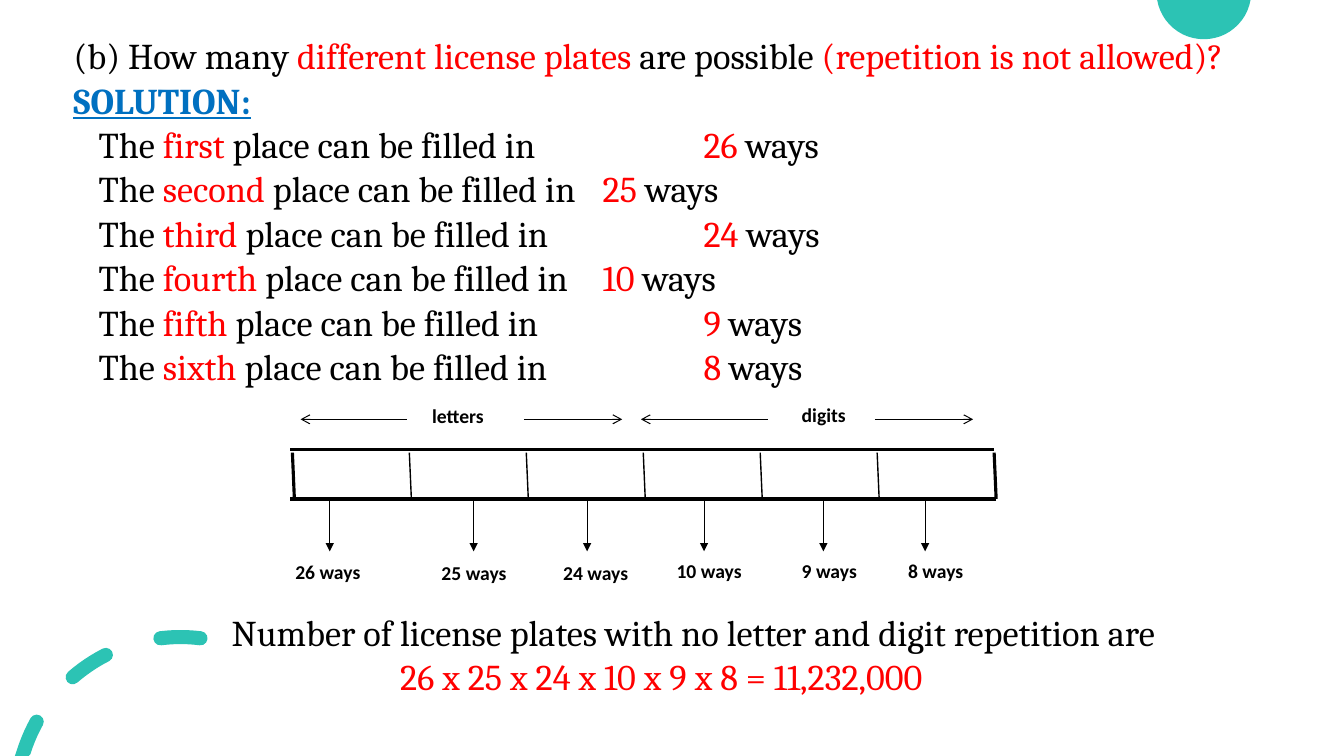
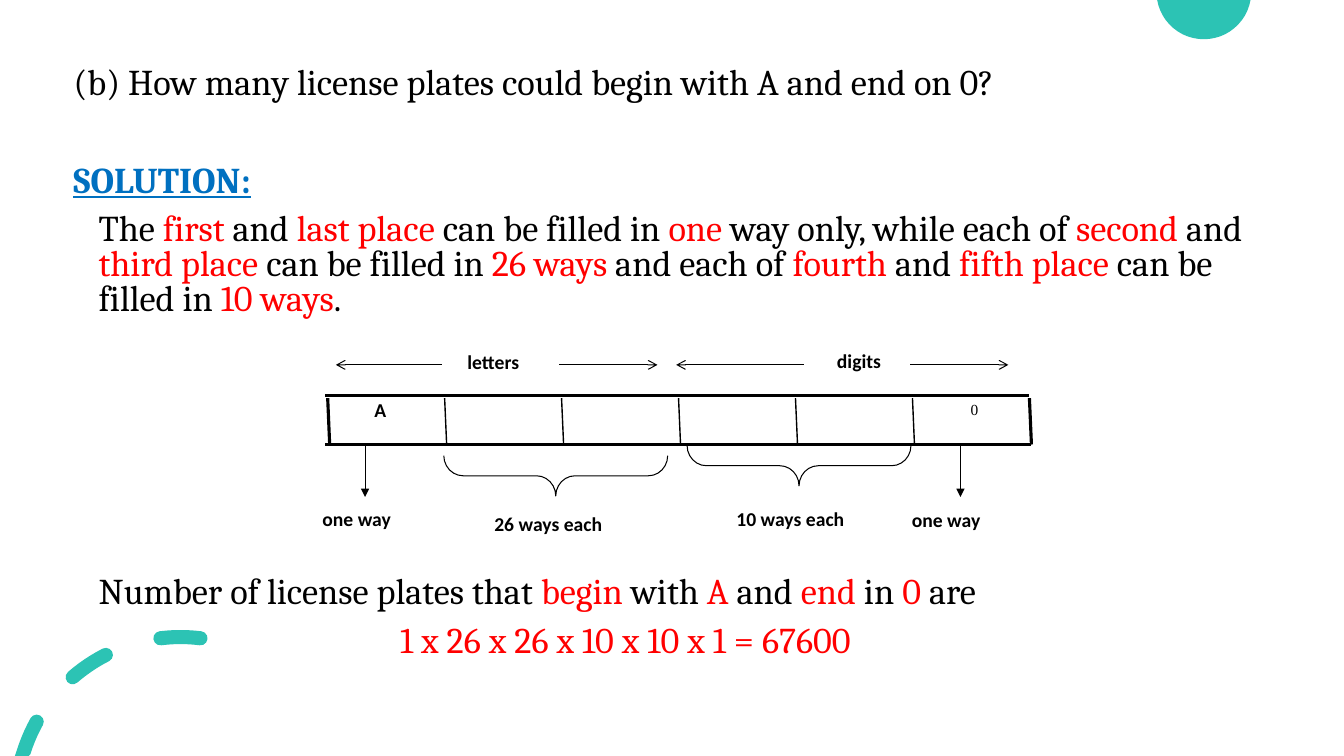
from dataclasses import dataclass
from math import cos, radians, sin

from lxml import etree
from pptx import Presentation
from pptx import util as u
from pptx.dml.color import RGBColor
from pptx.enum import shapes, text
from pptx.oxml.ns import qn

WIDE, HIGH = 13.33, 7.5
LEFT, SPAN, STEP = 0.63, 11.89, 0.25
BLACK, RED, BLUE, TEAL = "000000", "FF0000", "0070C0", "2CC3B4"
SERIF, SANS = "Cambria", "Calibri"
BODY, SMALL = 25.9, 14
COLS, COL, ROW = 6, 1.16, 0.5
LEAN = 0.02


@dataclass
class Para:
    """A paragraph; the parts between asterisks are red."""
    words: str
    dent: float = 0
    tab: float = 0
    head: bool = False


@dataclass
class Grid:
    """The strip of six places, measured in columns and rows from its corner."""
    slide: object
    left: float
    top: float

    def x(self, col: float) -> float:
        return self.left + col * COL

    def y(self, row: float) -> float:
        return self.top + row * ROW


@dataclass
class Tag:
    words: str
    col: float
    row: float
    mid: bool = False
    font: str = SANS
    size: float = SMALL
    bold: bool = True


@dataclass
class Rule:
    """A straight line in grid units, with an arrowhead at its start or end."""
    col: float
    row: float
    to_col: float
    to_row: float
    width: float = 0.75
    head: str = ""
    tail: str = ""


def tint(code: str) -> RGBColor:
    return RGBColor.from_string(code)


def style(run, font: str, size: float, code: str, bold: bool = False) -> None:
    run.font.name, run.font.size = font, u.Pt(size)
    run.font.bold, run.font.color.rgb = bold, tint(code)


def fill(frame, paras: list[Para], pitch: float) -> None:
    """Write paragraphs in the body style, with the given line spacing."""
    frame.word_wrap = True
    frame.auto_size = text.MSO_AUTO_SIZE.NONE
    frame.vertical_anchor = text.MSO_ANCHOR.TOP
    for n, para in enumerate(paras):
        line = frame.add_paragraph() if n else frame.paragraphs[0]
        line.alignment = text.PP_ALIGN.LEFT
        line.line_spacing = pitch
        line.space_before = u.Pt(10 if n else 0)
        props = line._p.get_or_add_pPr()
        if para.dent:
            props.set("marL", str(u.Inches(para.dent)))
        if para.tab:
            tabs = etree.SubElement(props, qn("a:tabLst"))
            etree.SubElement(tabs, qn("a:tab"), pos=str(u.Inches(para.tab)), algn="l")
        for k, part in enumerate(para.words.split("*")):
            if part:
                run = line.add_run()
                run.text = part
                code = BLUE if para.head else RED if k % 2 else BLACK
                style(run, SERIF, BODY, code, para.head)
                run.font.underline = para.head


def block(slide, dent: float, top: float, high: float,
          paras: list[Para], pitch: float) -> None:
    box = slide.shapes.add_textbox(u.Inches(LEFT + dent), u.Inches(top),
                                   u.Inches(SPAN - dent), u.Inches(high))
    fill(box.text_frame, paras, pitch)


def title(slide, words: str, top: float, pitch: float) -> None:
    shape = slide.shapes.title
    shape.left, shape.top = u.Inches(LEFT), u.Inches(top)
    shape.width, shape.height = u.Inches(SPAN), u.Inches(0.45)
    fill(shape.text_frame, [Para(words)], pitch)


def draw(grid: Grid, rule: Rule, lean: float = 0) -> None:
    line = grid.slide.shapes.add_connector(
        shapes.MSO_CONNECTOR.STRAIGHT,
        u.Inches(grid.x(rule.col)), u.Inches(grid.y(rule.row)),
        u.Inches(grid.x(rule.to_col) + lean), u.Inches(grid.y(rule.to_row)))
    line.line.color.rgb, line.line.width = tint(BLACK), u.Pt(rule.width)
    edge = line.line._get_or_add_ln()
    for end, kind in (("a:headEnd", rule.head), ("a:tailEnd", rule.tail)):
        if kind:
            etree.SubElement(edge, qn(end), type=kind)
    etree.SubElement(line.element.spPr, qn("a:effectLst"))


def label(grid: Grid, tag: Tag) -> None:
    box = grid.slide.shapes.add_textbox(
        u.Inches(grid.x(tag.col)), u.Inches(grid.y(tag.row)),
        u.Inches(COL if len(tag.words) < 9 else 1.6), u.Inches(0.4))
    frame = box.text_frame
    frame.word_wrap = True
    frame.text = tag.words
    line = frame.paragraphs[0]
    line.alignment = text.PP_ALIGN.CENTER if tag.mid else text.PP_ALIGN.LEFT
    style(line.runs[0], tag.font, tag.size, BLACK, tag.bold)


def brace(grid: Grid, col: float, row: float) -> None:
    """Draw a brace that opens upwards, centred on the given grid point."""
    wide, high = 0.4, 2.22
    shape = grid.slide.shapes.add_shape(
        shapes.MSO_SHAPE.LEFT_BRACE,
        u.Inches(grid.x(col) - wide / 2), u.Inches(grid.y(row) - high / 2),
        u.Inches(wide), u.Inches(high))
    shape.rotation = 270
    shape.adjustments[0], shape.adjustments[1] = 0.479, 0.5
    shape.shadow.inherit = False
    shape.fill.background()
    shape.line.color.rgb, shape.line.width = tint(BLACK), u.Pt(0.75)


def strip(grid: Grid, tags: list[Tag], drops: list[float]) -> None:
    """Draw the six places, the arrows around them and their labels."""
    for row in (0, 0.98):
        draw(grid, Rule(-0.02, row, COLS, row, 2.25), LEAN * row)
    for col in range(COLS + 1):
        width = 2.25 if col in (0, COLS) else 1
        draw(grid, Rule(col, 0.06, col, 0.98, width), LEAN)
    for start, end in ((0.07, 0.98), (2.98, 4.07)):
        draw(grid, Rule(start, -0.6, end, -0.6, head="arrow"))
    for start, end in ((1.98, 2.82), (4.98, 5.82)):
        draw(grid, Rule(start, -0.6, end, -0.6, tail="arrow"))
    for col in drops:
        draw(grid, Rule(col, 1, col, 2.02, tail="triangle"))
    for tag in [Tag("letters", 1.11, -1), Tag("digits", 4.27, -1.02), *tags]:
        label(grid, tag)


def arc(x: float, y: float, size: float, start: float, end: float,
        parts: int = 6) -> list:
    """Points of an arc; angles run clockwise in degrees from the top."""
    turns = [radians(start + (end - start) * n / parts) for n in range(parts + 1)]
    return [(x + size * sin(a), y - size * cos(a)) for a in turns]


def dash(start: float, end: float) -> list:
    """Outline of one round-ended dash of the ring at the lower left."""
    x, y, size, half = 1.79, 7.95, 1.63, 0.07
    mid = arc(x, y, size, start, end)
    edge = (arc(*mid[0], half, start + 180, start + 360)
            + arc(x, y, size + half, start, end)
            + arc(*mid[-1], half, end, end + 180)
            + arc(x, y, size - half, end, start))
    return [(px, min(py, HIGH)) for px, py in edge]


def deck(layout, slide) -> None:
    """Build the teal trim and move it to the layout, where slides share it."""
    dome = arc(11.94, -0.08, 0.47, 100, 260, 24)
    trim = [dome, dash(-7, 7), dash(-41, -27), dash(-75, -61)]
    for n, points in enumerate(trim):
        spots = [(u.Inches(x), u.Inches(y)) for x, y in points]
        pen = slide.shapes.build_freeform(*spots[0])
        pen.add_line_segments(spots[1:], close=True)
        form = pen.convert_to_shape()
        form.shadow.inherit = False
        form.fill.solid()
        form.fill.fore_color.rgb = tint(TEAL)
        form.line.fill.background()
        form.element.nvSpPr.cNvPr.set("id", str(90 + n))
        layout.shapes.element.append(form.element)


def plates(slide) -> None:
    pitch, top, gap = 0.7, 0.4, 0.44
    title(slide, "(b) How many *different license plates* are possible "
          "*(repetition is not allowed)?*", top, pitch)
    block(slide, 0, top + gap, 0.45, [Para("SOLUTION:", head=True)], pitch)
    ways = [("first", 26, 6), ("second", 25, 5), ("third", 24, 6),
            ("fourth", 10, 5), ("fifth", 9, 6), ("sixth", 8, 6)]
    block(slide, STEP, top + 2 * gap, 2.7,
          [Para(f"The *{place}* place can be filled in\t*{count}* ways", tab=tab)
           for place, count, tab in ways], pitch)
    block(slide, 0, top + 13 * gap, 0.95, [
        Para("Number of license plates with no letter and digit repetition are", 1.57),
        Para("*26 x 25 x 24 x 10 x 9 x 8 = 11,232,000*", 3.24)], pitch)
    cols = (-0.06, 1.19, 2.23, 3.2, 4.27, 5.18)
    rows = (2.1, 2.12, 2.12, 2.08, 2.08, 2.08)
    tags = [Tag(f"{way[1]} ways", col, row)
            for way, col, row in zip(ways, cols, rows)]
    strip(Grid(slide, 2.9, 4.46), tags, [0.32, 1.55, 2.52, 3.52, 4.54, 5.41])


def ends(slide) -> None:
    pitch, top, gap = 0.8, 0.62, 0.485
    title(slide, "(b) How many license plates could begin with A and end on 0?",
          top, pitch)
    block(slide, 0, top + 2 * gap, 0.45, [Para("SOLUTION:", head=True)], pitch)
    block(slide, STEP, top + 3 * gap, 1.15, [Para(
        "The *first* and *last place* can be filled in *one* way only, while each "
        "of *second* and *third place* can be filled in *26 ways* and each of "
        "*fourth* and *fifth place* can be filled in *10 ways*.")], pitch)
    block(slide, 0, 5.67, 1, [
        Para("Number of license plates that *begin* with *A* and *end* in *0* are", STEP),
        Para("*1 x 26 x 26 x 10 x 10 x 1 = 67600*", 3.24)], pitch)
    grid = Grid(slide, 3.25, 3.92)
    strip(grid, [Tag("one way", -0.13, 2.12), Tag("26 ways each", 1.34, 2.22),
                 Tag("10 ways each", 3.41, 2.12), Tag("one way", 4.91, 2.14),
                 Tag("A", -0.05, -0.04, mid=True),
                 Tag("0", 5.03, 0, True, "Times New Roman", 11, False)],
          [0.32, 5.41])
    brace(grid, 1.95, 1.6)
    brace(grid, 4.03, 1.4)


def main() -> None:
    show = Presentation()
    show.slide_width, show.slide_height = u.Inches(WIDE), u.Inches(HIGH)
    layout = show.slide_layouts[5]
    pages = [show.slides.add_slide(layout) for _ in range(2)]
    deck(layout, pages[0])
    plates(pages[0])
    ends(pages[1])
    show.save("out.pptx")


if __name__ == "__main__":
    main()
